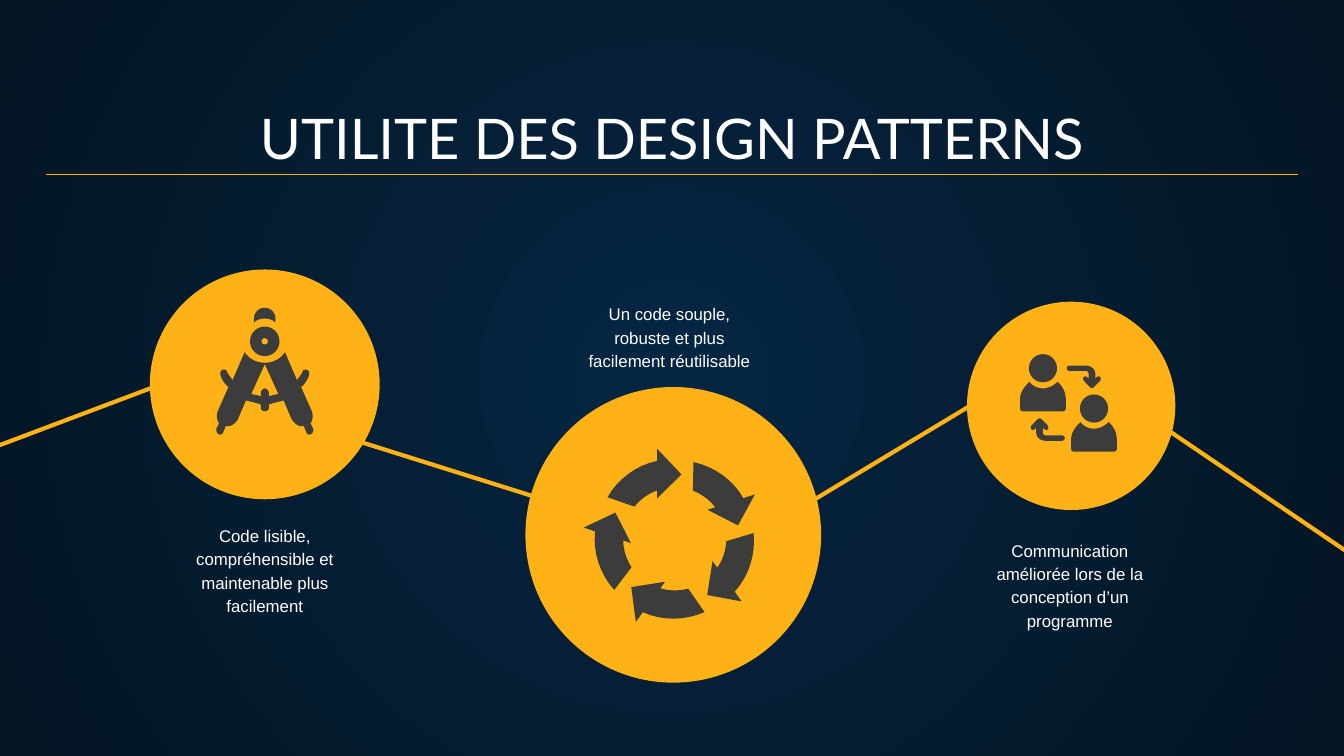
import math

import pptx
import pptx.dml.color
import pptx.enum.shapes
import pptx.enum.text
import pptx.oxml
import pptx.oxml.ns
import pptx.util
from lxml import etree

Inches, Pt = pptx.util.Inches, pptx.util.Pt
RGB = pptx.dml.color.RGBColor
SHAPE = pptx.enum.shapes.MSO_SHAPE
ANCHOR = pptx.enum.text.MSO_ANCHOR

AMBER = RGB(0xFF, 0xB2, 0x15)
CHARCOAL = RGB(0x3C, 0x3C, 0x3C)
WHITE = RGB(0xFF, 0xFF, 0xFF)
NAVY = RGB(0x05, 0x26, 0x43)
NIGHT = RGB(0x04, 0x15, 0x23)

WIDTH = 10
HEIGHT = WIDTH * 9 / 16
MARGIN = 0.34
CAPTION_WIDTH, CAPTION_HEIGHT = 1.52, 0.55

TITLE = "UTILITE DES DESIGN PATTERNS"
# disc (centre x, centre y, diameter), caption place (centre x, top), caption
BENEFITS = [
    ((1.97, 2.86, 1.71), (1.97, 3.79),
     "Code lisible, compréhensible et maintenable plus facilement"),
    ((5.01, 3.98, 2.20), (4.98, 2.14),
     "Un code souple, robuste et plus facilement réutilisable"),
    ((7.97, 3.02, 1.55), (7.96, 3.90),
     "Communication améliorée lors de la conception d’un programme"),
]
LINKS = [
    ((2.56, 3.25), (4.31, 3.80)),
    ((5.49, 4.06), (7.45, 2.88)),
    ((1.41, 2.78), (-0.66, 3.56)),
    ((10.25, 4.26), (8.35, 2.97)),
]

# Outlines: a pair is a corner, six numbers are a Bézier curve.
CYCLE_CENTRE = (5.02, 4.01)
CYCLE_ARROW = [(4.89, 3.34), (4.89, 3.43), (4.74, 3.46, 4.6, 3.56, 4.52, 3.7), (4.72, 3.77),
               (4.77, 3.71, 4.83, 3.67, 4.89, 3.65), (4.89, 3.71), (5.07, 3.53)]

PERSON_STEP = (0.38, 0.3)
PERSON_HEAD = (7.76, 2.74)
PERSON_BODY = [(7.66, 2.84), (7.62, 2.88, 7.59, 2.92, 7.59, 2.97), (7.59, 3.04),
               (7.59, 3.05, 7.6, 3.06, 7.61, 3.06), (7.91, 3.06),
               (7.92, 3.06, 7.93, 3.05, 7.93, 3.04), (7.93, 2.97),
               (7.93, 2.92, 7.91, 2.88, 7.87, 2.84), (7.84, 2.87, 7.8, 2.89, 7.76, 2.89),
               (7.72, 2.89, 7.68, 2.87, 7.66, 2.84)]
EXCHANGE_CENTRE = (7.93, 3)
EXCHANGE_ARROW = [(7.96, 2.72), (7.93, 2.72, 7.93, 2.76, 7.96, 2.76), (8.08, 2.76),
                  (8.09, 2.76, 8.1, 2.77, 8.1, 2.78), (8.1, 2.82),
                  (8.08, 2.78, 8.04, 2.81, 8.07, 2.84), (8.11, 2.88),
                  (8.12, 2.89, 8.13, 2.89, 8.14, 2.88), (8.18, 2.84),
                  (8.21, 2.81, 8.17, 2.78, 8.15, 2.82), (8.15, 2.78),
                  (8.15, 2.75, 8.12, 2.72, 8.08, 2.72)]

# Right halves of the compass, x measured from its axis.
COMPASS_AXIS = 1.97
COMPASS_HINGE_Y = 2.54
COMPASS_CAP = [(0, 2.29), (0.05, 2.29, 0.08, 2.33, 0.08, 2.37), (0.08, 2.4),
               (0.06, 2.38, 0.03, 2.37, 0, 2.37)]
COMPASS_LEG = [(0, 2.7), (0.06, 2.7, 0.12, 2.67, 0.15, 2.62), (0.24, 2.83),
               (0.25, 2.81, 0.27, 2.79, 0.28, 2.77), (0.28, 2.74, 0.34, 2.74, 0.33, 2.79),
               (0.32, 2.82, 0.3, 2.86, 0.27, 2.88), (0.35, 3.06),
               (0.36, 3.09, 0.36, 3.12, 0.34, 3.15), (0.36, 3.19),
               (0.37, 3.23, 0.32, 3.25, 0.31, 3.22), (0.29, 3.17),
               (0.25, 3.18, 0.22, 3.15, 0.2, 3.12), (0.14, 2.98),
               (0.1, 2.99, 0.06, 3, 0.03, 3.01), (0.03, 3.04), (0.03, 3.05, 0.01, 3.06, 0, 3.06)]
COMPASS_GAP = [(0, 2.71), (0.1, 2.93), (0.08, 2.94, 0.05, 2.94, 0.03, 2.95),
               (0.03, 2.92), (0.03, 2.91, 0.01, 2.89, 0, 2.89)]


def flatten(outline, steps=8):
    """Turn corners and Bézier curves into a list of points."""
    points = []
    for part in outline:
        if len(part) == 2:
            points.append(part)
            continue
        controls = [points[-1], part[:2], part[2:4], part[4:]]
        for t in (step / steps for step in range(1, steps + 1)):
            weights = [math.comb(3, i) * t**i * (1 - t)**(3 - i) for i in range(4)]
            points.append(tuple(sum(w * c[axis] for w, c in zip(weights, controls))
                                for axis in (0, 1)))
    return points


def rotate(points, centre, degrees):
    cos, sin = math.cos(math.radians(degrees)), math.sin(math.radians(degrees))
    cx, cy = centre
    return [(cx + (x - cx) * cos - (y - cy) * sin, cy + (x - cx) * sin + (y - cy) * cos)
            for x, y in points]


def shift(points, dx, dy):
    return [(x + dx, y + dy) for x, y in points]


def mirror(half):
    """Complete a right half outline around the compass axis."""
    right = flatten(half)
    return shift(right + [(-x, y) for x, y in reversed(right)], COMPASS_AXIS, 0)


def paint(shape, colour):
    shape.shadow.inherit = False
    shape.fill.solid()
    shape.fill.fore_color.rgb = colour
    shape.line.fill.background()


def add_round(slide, cx, cy, diameter, colour, kind=SHAPE.OVAL):
    shape = slide.shapes.add_shape(kind, Inches(cx - diameter / 2), Inches(cy - diameter / 2),
                                   Inches(diameter), Inches(diameter))
    paint(shape, colour)
    return shape


def add_glyph(slide, *contours):
    """Draw closed contours as one shape; a second contour cuts a hole."""
    first, *holes = [[(Inches(x), Inches(y)) for x, y in contour] for contour in contours]
    builder = slide.shapes.build_freeform(*first[0])
    builder.add_line_segments(first[1:], close=True)
    for hole in holes:
        builder.move_to(*hole[0])
        builder.add_line_segments(hole[1:], close=True)
    paint(builder.convert_to_shape(), CHARCOAL)


def add_line(slide, start, end, weight):
    line = slide.shapes.add_connector(pptx.enum.shapes.MSO_CONNECTOR.STRAIGHT,
                                      *map(Inches, start + end))
    line.line.color.rgb = AMBER
    line.line.width = Pt(weight)
    etree.SubElement(line._element.spPr, pptx.oxml.ns.qn("a:effectLst"))


def add_text(slide, text, box, font, size, anchor):
    frame = slide.shapes.add_textbox(*map(Inches, box)).text_frame
    frame.word_wrap = True
    frame.vertical_anchor = anchor
    frame.margin_left = frame.margin_right = Inches(0.1)
    frame.margin_top = frame.margin_bottom = Inches(0.1)
    paragraph = frame.paragraphs[0]
    paragraph.text = text
    paragraph.alignment = pptx.enum.text.PP_ALIGN.CENTER
    paragraph.font.name, paragraph.font.size = font, Pt(size)
    paragraph.font.color.rgb = WHITE
    return paragraph


def set_background(slide):
    fill = slide.background.fill
    fill.gradient()
    for stop, colour in zip(fill.gradient_stops, (NAVY, NIGHT)):
        stop.color.rgb = colour
    qn = pptx.oxml.ns.qn
    linear = next(slide._element.iter(qn("a:lin")))
    radial = etree.Element(qn("a:path"), {"path": "circle"})
    etree.SubElement(radial, qn("a:fillToRect"), dict.fromkeys("ltrb", "50000"))
    linear.getparent().replace(linear, radial)


def main():
    deck = pptx.Presentation()
    deck.slide_width, deck.slide_height = Inches(WIDTH), Inches(HEIGHT)
    slide = deck.slides.add_slide(deck.slide_layouts[6])
    set_background(slide)

    add_text(slide, TITLE, (MARGIN, 0.71, WIDTH - 2 * MARGIN, 0.66), "Lato", 30, ANCHOR.BOTTOM)
    for disc, _, _ in BENEFITS:
        add_round(slide, *disc, AMBER)
    for start, end in LINKS:
        add_line(slide, start, end, 2.25)
    for _, (centre, top), caption in BENEFITS:
        box = (centre - CAPTION_WIDTH / 2, top, CAPTION_WIDTH, CAPTION_HEIGHT)
        paragraph = add_text(slide, caption, box, "Arial", 9, ANCHOR.TOP)
        paragraph.line_spacing, paragraph.space_after = 1.15, Pt(16)
    add_line(slide, (MARGIN, 1.3), (WIDTH - MARGIN, 1.3), 0.75)

    for turn in range(5):
        add_glyph(slide, rotate(flatten(CYCLE_ARROW), CYCLE_CENTRE, 72 * turn))

    for person in range(2):
        dx, dy = (person * step for step in PERSON_STEP)
        add_round(slide, PERSON_HEAD[0] + dx, PERSON_HEAD[1] + dy, 0.21, CHARCOAL)
        add_glyph(slide, shift(flatten(PERSON_BODY), dx, dy))
        add_glyph(slide, rotate(flatten(EXCHANGE_ARROW), EXCHANGE_CENTRE, 180 * person))

    hinge = add_round(slide, COMPASS_AXIS, COMPASS_HINGE_Y, 0.22, CHARCOAL, SHAPE.DONUT)
    hinge.adjustments[0] = 0.39
    add_glyph(slide, mirror(COMPASS_LEG), mirror(COMPASS_GAP))
    add_glyph(slide, mirror(COMPASS_CAP))

    deck.save("out.pptx")


if __name__ == "__main__":
    main()
